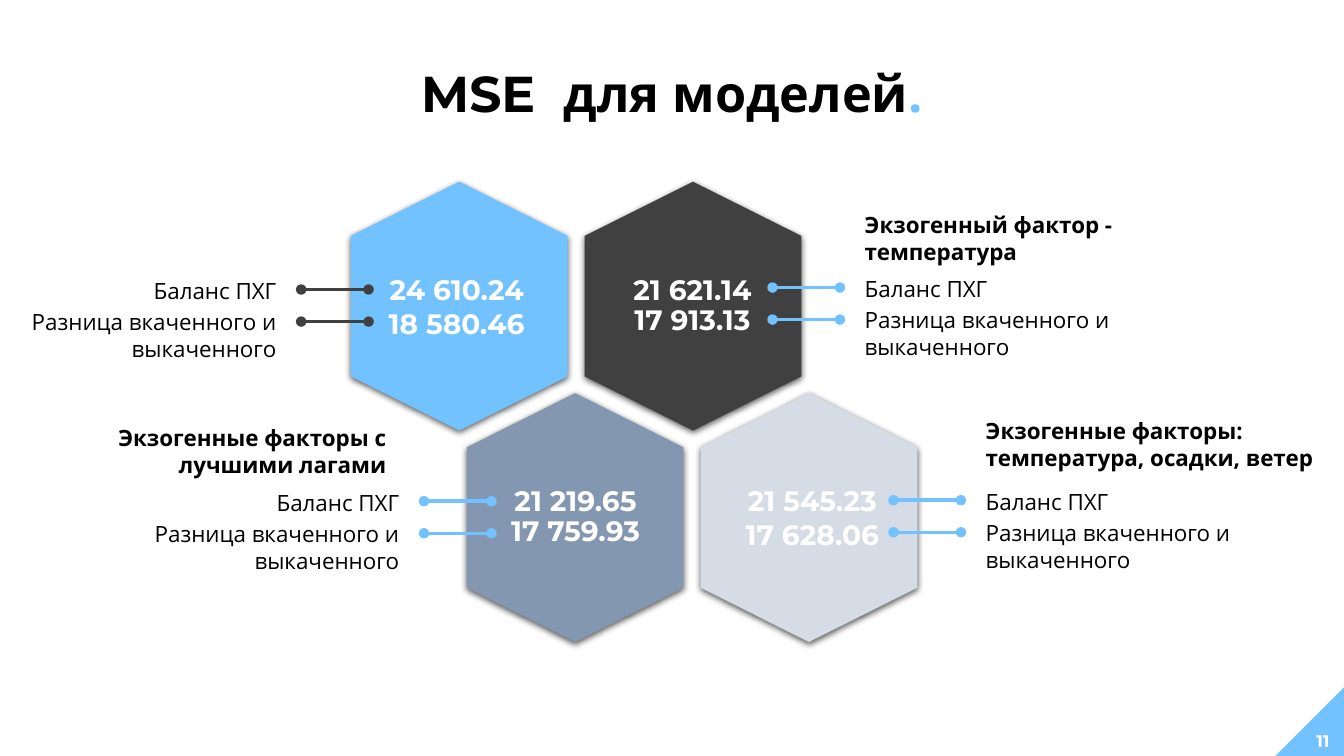
from dataclasses import dataclass

from lxml.etree import SubElement
from pptx import Presentation
from pptx.dml.color import RGBColor
from pptx.enum.shapes import MSO_CONNECTOR, MSO_SHAPE
from pptx.enum.text import MSO_ANCHOR, MSO_AUTO_SIZE, PP_ALIGN
from pptx.oxml.ns import qn
from pptx.util import Pt

BLACK = RGBColor(0x00, 0x00, 0x00)
WHITE = RGBColor(0xFF, 0xFF, 0xFF)
SKY = RGBColor(0x71, 0xC2, 0xFF)
CHARCOAL = RGBColor(0x40, 0x40, 0x40)
SLATE = RGBColor(0x84, 0x97, 0xB0)
MIST = RGBColor(0xD6, 0xDC, 0xE5)

DISPLAY_FONT = "Montserrat"
BODY_FONT = "Open Sans"

SLIDE_WIDTH, SLIDE_HEIGHT = 960, 540
HEXAGON_LENGTH, HEXAGON_BREADTH = 177.8, 154.8
VALUE_WIDTH, VALUE_HEIGHT = 121, 55.4
LABEL_WIDTH, LABEL_HEIGHT = 197, 68.4
HEADING_HEIGHT = 46
POINTER_GAP, POINTER_LENGTH = 10.6, 48.2
POINTER_DROP, POINTER_PITCH = 12.4, 22.9
CORNER_SIZE = 49

MEASURES = "Баланс ПХГ\nРазница вкаченного и выкаченного"


@dataclass
class Model:
    """Centre of the hexagon, its values, and the inner edge of its labels."""
    center_x: float
    center_y: float
    fill: RGBColor
    values: str
    value_x: float
    line_spacing: float
    label_edge: float
    label_top: float
    on_left: bool
    pointer_color: RGBColor = SKY


@dataclass
class Heading:
    text: str
    edge: float
    top: float
    width: float
    on_left: bool


MODELS = [
    Model(495, 218.7, CHARCOAL, "21 621.14\v17 913.13", 494.6, 0.9, 610.6, 193, False),
    Model(328, 218.7, SKY, "24 610.24\n18 580.46", 326.2, 1, 204.5, 194.4, True, CHARCOAL),
    Model(410.8, 369.7, SLATE, "21 219.65\v17 759.93", 411.1, 0.9, 292.3, 345.6, True),
    Model(577.8, 369.7, MIST, "21 545.23\n17 628.06", 580.3, 1, 697, 344.9, False),
]

HEADINGS = [
    Heading("Экзогенный фактор - температура", 610.6, 147.6, 203.8, False),
    Heading("Экзогенные факторы с лучшими лагами", 283, 299.5, 220.3, True),
    Heading("Экзогенные факторы: температура, осадки, ветер", 697, 294.5, 252.7, False),
]


def format_run(run, font_name, size, color, bold):
    run.font.name = font_name
    run.font.size = Pt(size)
    run.font.bold = bold
    run.font.color.rgb = color


def add_text(slide, text, left, top, width, height, size, font_name=BODY_FONT,
             color=BLACK, bold=False, alignment=PP_ALIGN.LEFT,
             anchor=MSO_ANCHOR.TOP, space_after=0, line_spacing=1):
    box = slide.shapes.add_textbox(Pt(left), Pt(top), Pt(width), Pt(height))
    text_frame = box.text_frame
    text_frame.word_wrap = True
    text_frame.vertical_anchor = anchor
    text_frame.text = text
    for paragraph in text_frame.paragraphs:
        paragraph.alignment = alignment
        paragraph.space_after = Pt(space_after)
        paragraph.line_spacing = line_spacing
        for run in paragraph.runs:
            format_run(run, font_name, size, color, bold)


def add_side_text(slide, text, edge, top, width, height, on_left, **style):
    """Add text that ends at edge on the left side, or starts there on the right."""
    left = edge - width if on_left else edge
    alignment = PP_ALIGN.RIGHT if on_left else PP_ALIGN.LEFT
    add_text(slide, text, left, top, width, height, 16, alignment=alignment, **style)


def add_plain_shape(slide, kind, left, top, width, height, rotation, fill):
    shape = slide.shapes.add_shape(kind, Pt(left), Pt(top), Pt(width), Pt(height))
    shape.rotation = rotation
    shape.fill.solid()
    shape.fill.fore_color.rgb = fill
    shape.line.fill.background()
    shape.shadow.inherit = False
    return shape


def add_hexagon(slide, center_x, center_y, fill):
    hexagon = add_plain_shape(
        slide, MSO_SHAPE.HEXAGON, center_x - HEXAGON_LENGTH / 2,
        center_y - HEXAGON_BREADTH / 2, HEXAGON_LENGTH, HEXAGON_BREADTH, 90, fill)
    hexagon.adjustments[0] = 0.25
    effects = hexagon._element.spPr.find(qn("a:effectLst"))
    shadow = SubElement(effects, qn("a:outerShdw"), blurRad=str(Pt(4.5)),
                        dist=str(Pt(1.5)), dir="5400000", algn="ctr", rotWithShape="0")
    shadow_color = SubElement(shadow, qn("a:srgbClr"), val=str(BLACK))
    SubElement(shadow_color, qn("a:alpha"), val="63000")


def add_pointer(slide, left, y, color):
    """Add a horizontal line with a dot at each end."""
    pointer = slide.shapes.add_connector(
        MSO_CONNECTOR.STRAIGHT, Pt(left), Pt(y), Pt(left + POINTER_LENGTH), Pt(y))
    pointer.line.color.rgb = color
    pointer.line.width = Pt(2.5)
    properties = pointer._element.spPr
    line = properties.find(qn("a:ln"))
    for end in ("a:headEnd", "a:tailEnd"):
        SubElement(line, qn(end), type="oval")
    SubElement(properties, qn("a:effectLst"))


def add_model(slide, model):
    add_hexagon(slide, model.center_x, model.center_y, model.fill)
    add_text(slide, model.values, model.value_x - VALUE_WIDTH / 2,
             model.center_y - VALUE_HEIGHT / 2, VALUE_WIDTH, VALUE_HEIGHT, 20,
             DISPLAY_FONT, WHITE, True, PP_ALIGN.CENTER, MSO_ANCHOR.MIDDLE,
             line_spacing=model.line_spacing)
    add_side_text(slide, MEASURES, model.label_edge, model.label_top,
                  LABEL_WIDTH, LABEL_HEIGHT, model.on_left, space_after=3)
    if model.on_left:
        pointer_left = model.label_edge + POINTER_GAP
    else:
        pointer_left = model.label_edge - POINTER_GAP - POINTER_LENGTH
    for row in range(2):
        y = model.label_top + POINTER_DROP + row * POINTER_PITCH
        add_pointer(slide, pointer_left, y, model.pointer_color)


def set_title(slide):
    title = slide.shapes.title
    title.left, title.top, title.width, title.height = Pt(105), Pt(41), Pt(750), Pt(51)
    text_frame = title.text_frame
    text_frame.auto_size = MSO_AUTO_SIZE.NONE
    text_frame.vertical_anchor = MSO_ANCHOR.TOP
    paragraph = text_frame.paragraphs[0]
    paragraph.alignment = PP_ALIGN.CENTER
    for text, font_name, color in (("MSE  ", DISPLAY_FONT, BLACK),
                                   ("для моделей", BODY_FONT, BLACK),
                                   (".", BODY_FONT, SKY)):
        run = paragraph.add_run()
        run.text = text
        format_run(run, font_name, 36, color, True)


def add_page_corner(slide):
    add_plain_shape(slide, MSO_SHAPE.RIGHT_TRIANGLE, SLIDE_WIDTH - CORNER_SIZE,
                    SLIDE_HEIGHT - CORNER_SIZE, CORNER_SIZE, CORNER_SIZE, 270, SKY)
    add_text(slide, "11", 926, 514.8, 38, 28.8, 12, DISPLAY_FONT, WHITE, True,
             PP_ALIGN.CENTER, MSO_ANCHOR.MIDDLE)


def main():
    presentation = Presentation()
    presentation.slide_width = Pt(SLIDE_WIDTH)
    presentation.slide_height = Pt(SLIDE_HEIGHT)
    slide = presentation.slides.add_slide(presentation.slide_layouts[5])
    add_page_corner(slide)
    set_title(slide)
    for model in MODELS:
        add_model(slide, model)
    for heading in HEADINGS:
        add_side_text(slide, heading.text, heading.edge, heading.top,
                      heading.width, HEADING_HEIGHT, heading.on_left, bold=True)
    presentation.save("out.pptx")


if __name__ == "__main__":
    main()
